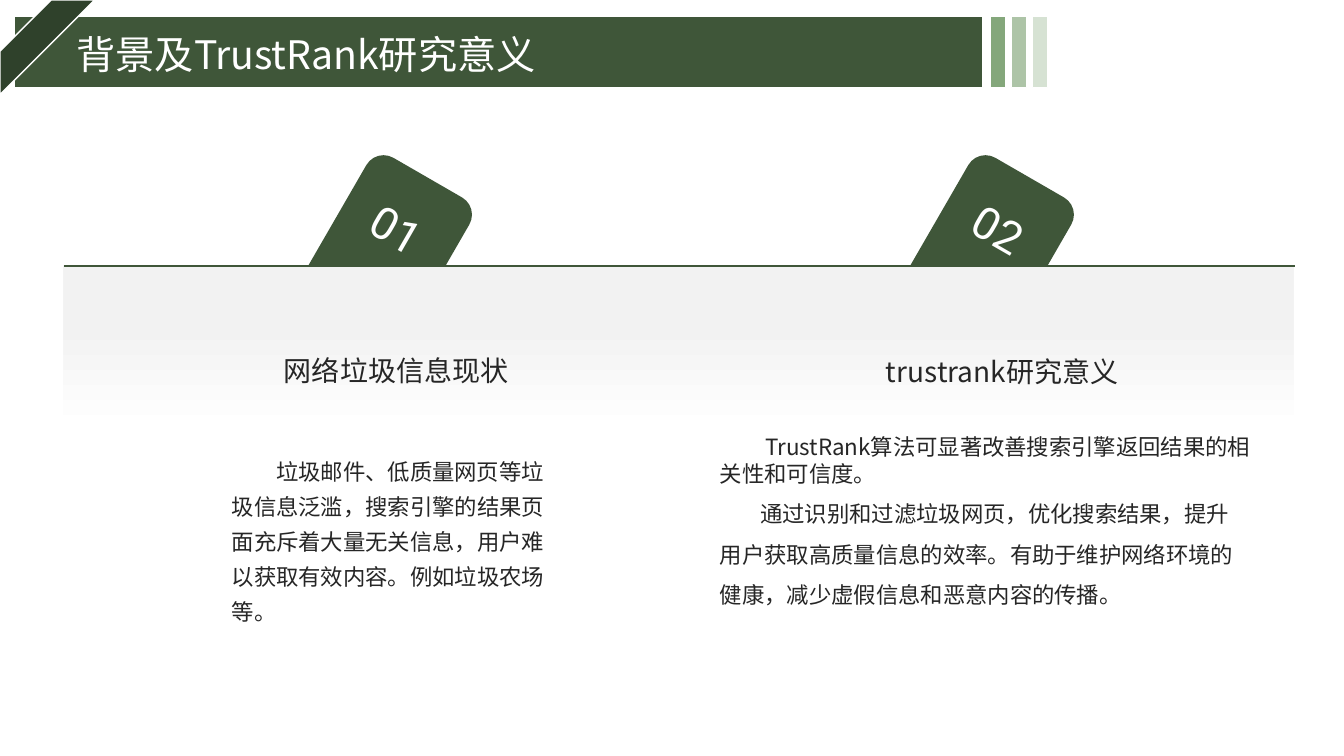
from pptx import Presentation
from pptx.dml.color import RGBColor
from pptx.enum.shapes import MSO_CONNECTOR, MSO_SHAPE
from pptx.enum.text import MSO_ANCHOR, PP_ALIGN
from pptx.oxml.ns import qn
from pptx.util import Emu, Pt
from lxml import etree

PX = 9144  # 100 px to the inch

RECT = MSO_SHAPE.RECTANGLE
ROUNDED = MSO_SHAPE.ROUNDED_RECTANGLE
STRIPE = MSO_SHAPE.DIAGONAL_STRIPE
STRAIGHT = MSO_CONNECTOR.STRAIGHT
LEFT, CENTER = PP_ALIGN.LEFT, PP_ALIGN.CENTER
TOP, MIDDLE = MSO_ANCHOR.TOP, MSO_ANCHOR.MIDDLE

GREEN = RGBColor(0x3F, 0x56, 0x39)
DARK_GREEN = RGBColor(0x2F, 0x41, 0x2B)
BAR_TINTS = (
    RGBColor(0x84, 0xA7, 0x7B),
    RGBColor(0xAD, 0xC4, 0xA7),
    RGBColor(0xD6, 0xE2, 0xD3),
)
WHITE = RGBColor(0xFF, 0xFF, 0xFF)
PALE_GREY = RGBColor(0xF2, 0xF2, 0xF2)
INK = RGBColor(0x26, 0x26, 0x26)

CJK_FONT = "Noto Sans CJK SC"
NUMBER_FONT = "Roboto"
TILT = 30


def px(*lengths):
    return [Emu(length * PX) for length in lengths]


def add_block(slide, kind, box, fill=None, outline=None, rotation=0):
    block = slide.shapes.add_shape(kind, *px(*box))
    block.shadow.inherit = False
    block.rotation = rotation
    if fill is not None:
        block.fill.solid()
        block.fill.fore_color.rgb = fill
    if outline is None:
        block.line.fill.background()
    else:
        block.line.color.rgb = outline
        block.line.width = Pt(1)
    return block


def add_fading_panel(slide, box):
    panel = add_block(slide, RECT, box)
    panel.fill.gradient()
    panel.fill.gradient_angle = 90
    stops = zip(panel.fill.gradient_stops, (0.41, 0.79), (WHITE, PALE_GREY))
    for stop, position, color in stops:
        stop.position = position
        stop.color.rgb = color


def add_rule(slide, x1, x2, y):
    rule = slide.shapes.add_connector(STRAIGHT, *px(x1, y, x2, y))
    rule.line.color.rgb = GREEN
    rule.line.width = Pt(1.5)
    etree.SubElement(rule._element.spPr, qn("a:effectLst"))


def add_text(slide, box, paragraphs, size, color, font=CJK_FONT, align=LEFT,
             anchor=TOP, margins=(0, 0), rotation=0):
    """Each paragraph is (text, line spacing, first-line indent in px)."""
    label = slide.shapes.add_textbox(*px(*box))
    label.rotation = rotation
    frame = label.text_frame
    frame.word_wrap = True
    frame.vertical_anchor = anchor
    frame.margin_left, frame.margin_top = px(*margins)
    frame.margin_right, frame.margin_bottom = px(*margins)
    frame.text = "\n".join(text for text, _, _ in paragraphs)
    for paragraph, (_, spacing, indent) in zip(frame.paragraphs, paragraphs):
        paragraph.alignment = align
        paragraph.line_spacing = spacing
        if indent:
            paragraph._p.get_or_add_pPr().set("indent", str(indent * PX))
        for run in paragraph.runs:
            run.font.size = Pt(size)
            run.font.color.rgb = color
            run.font.name = font
            east_asian = etree.SubElement(run._r.get_or_add_rPr(), qn("a:ea"))
            east_asian.set("typeface", font)


def add_number_card(slide, left):
    add_block(slide, ROUNDED, (left, 162, 118, 213), GREEN, rotation=TILT)


def add_number(slide, left, number):
    add_text(slide, (left, 196, 79, 47), [(number, 1.1, 0)], 32, WHITE,
             NUMBER_FONT, CENTER, rotation=TILT)


def add_heading(slide, box, text, spacing):
    add_text(slide, box, [(text, spacing, 0)], 20, INK,
             align=CENTER, anchor=MIDDLE)


def main():
    prs = Presentation()
    prs.slide_width, prs.slide_height = px(1333, 750)
    slide = prs.slides.add_slide(prs.slide_layouts[6])

    # Tilted number cards, their lower part hidden by the panel
    card_lefts = (312, 909)
    for left in card_lefts:
        add_number_card(slide, left)
    add_fading_panel(slide, (63, 264, 1220, 276))
    add_rule(slide, 63, 1284, 264)
    for left, number in zip(card_lefts, ("01", "02")):
        add_number(slide, left + 46, number)

    # Title band with corner stripe and fading bars
    add_block(slide, RECT, (14, 16, 961, 71), GREEN, WHITE)
    add_text(slide, (76, 28, 865, 47), [("背景及TrustRank研究意义", 1.1, 0)],
             28, WHITE, anchor=MIDDLE)
    corner = add_block(slide, STRIPE, (0, 0, 94, 94), DARK_GREEN, WHITE)
    corner.adjustments[0] = 0.54
    for index, tint in enumerate(BAR_TINTS):
        add_block(slide, RECT, (982 + 21 * index, 16, 15, 71), tint, WHITE)

    # Left column: present state of web spam
    add_heading(slide, (186, 342, 414, 47), "网络垃圾信息现状", 1.1)
    add_text(slide, (220, 442, 346, 155), [
        ("垃圾邮件、低质量网页等垃圾信息泛滥，搜索引擎的结果页面充斥着大量"
         "无关信息，用户难以获取有效内容。例如垃圾农场等。", 1.3, 44),
    ], 16, INK, margins=(10, 5))

    # Right column: why the research matters
    add_heading(slide, (738, 342, 512, 47), "trustrank研究意义", 1.2)
    add_text(slide, (714, 430, 527, 191), [
        ("TrustRank算法可显著改善搜索引擎返回结果的相关性和可信度。", 1.0, 45),
        ("通过识别和过滤垃圾网页，优化搜索结果，提升用户获取高质量信息的效率。"
         "有助于维护网络环境的健康，减少虚假信息和恶意内容的传播。", 1.5, 40),
    ], 16, INK)

    prs.save("out.pptx")


if __name__ == "__main__":
    main()
